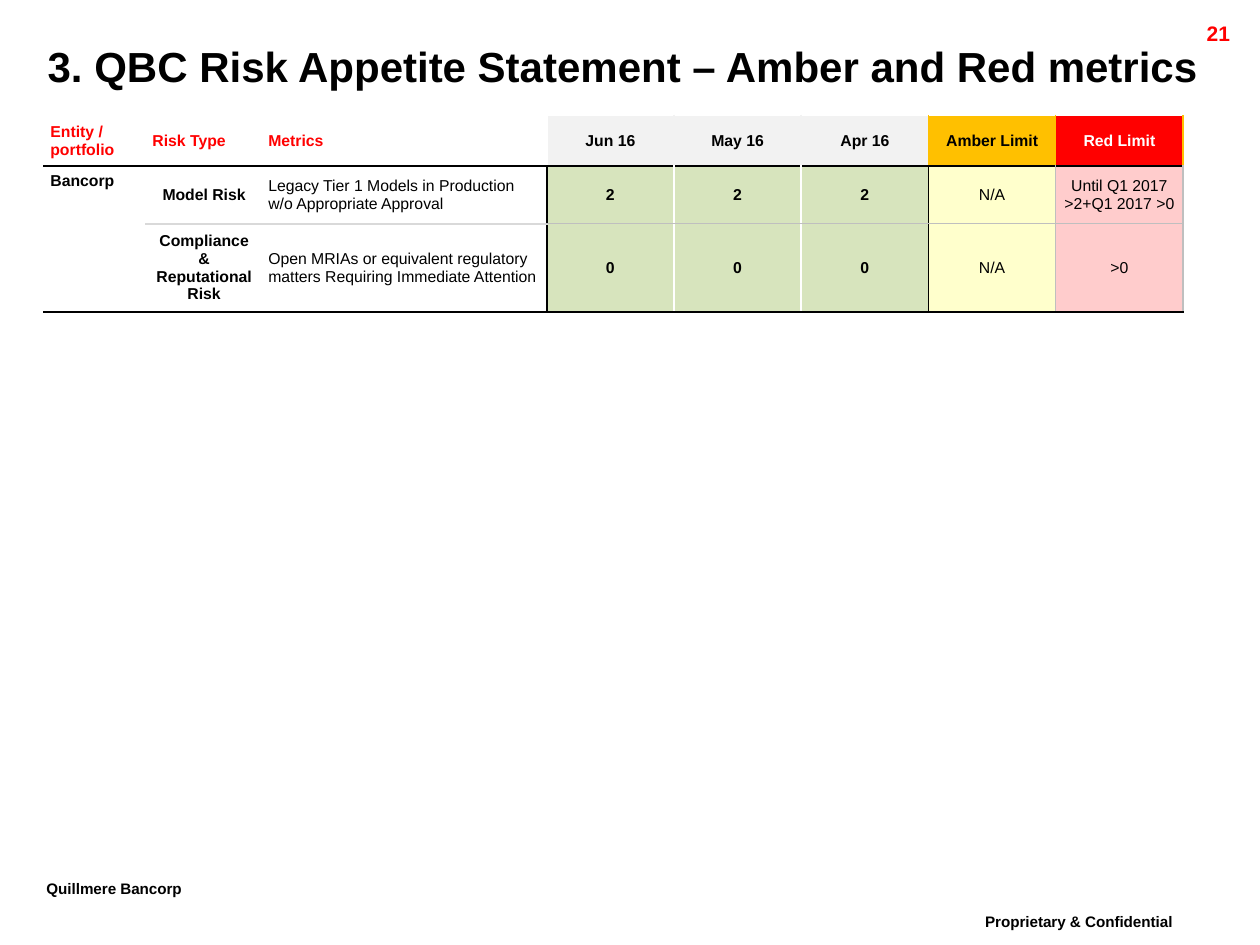
from dataclasses import dataclass

from lxml.etree import SubElement
from pptx import Presentation
from pptx.dml.color import RGBColor
from pptx.enum.text import MSO_ANCHOR as Anchor, PP_ALIGN as Align
from pptx.oxml.ns import qn
from pptx.util import Inches, Pt

SLIDE_WIDTH, SLIDE_HEIGHT = Inches(10), Inches(7.5)


@dataclass(frozen=True)
class Theme:
    font: str = "Arial"
    black: str = "000000"
    white: str = "FFFFFF"
    red: str = "FF0000"
    amber: str = "FFC000"
    header_grey: str = "F2F2F2"
    rule_light: str = "D9D9D9"
    rule_grey: str = "BFBFBF"
    green: str = "D7E4BD"
    pale_amber: str = "FFFFCC"
    pale_red: str = "FFCCCC"
    title_size: float = 24
    footer_size: float = 15
    number_size: float = 12
    table_size: float = 9


THEME = Theme()


@dataclass(frozen=True)
class Label:
    text: str
    left: float
    top: float
    width: float
    height: float
    size: float
    color: str = THEME.black
    align: Align = Align.LEFT
    raised: bool = False


@dataclass(frozen=True)
class Column:
    width: float
    title: str
    title_color: str
    values: tuple[str, str]
    header_fill: str | None = None
    body_fill: str | None = None
    header_edge: str = THEME.white
    body_edge: str = THEME.white
    row_rule: str = THEME.rule_grey
    title_align: Align = Align.CENTER
    body_align: Align = Align.CENTER
    bold: bool = True
    anchor: Anchor = Anchor.MIDDLE


def month(title: str, edge: str = THEME.header_grey, body_edge: str = THEME.white) -> Column:
    return Column(1.01, title, THEME.black, ("2", "0"), THEME.header_grey, THEME.green, edge, body_edge)


LABELS = (
    Label("Proprietary & Confidential", 0.772, 0.956, 0.218, 0.047, THEME.footer_size, raised=True),
    Label("Quillmere Bancorp", 0.027, 0.921, 0.149, 0.047, THEME.footer_size, raised=True),
    Label("3. QBC Risk Appetite Statement – Amber and Red metrics", 0.028, 0.036, 0.972, 0.067, THEME.title_size),
    Label("21", 0.891, 0.015, 0.095, 0.032, THEME.number_size, THEME.red, Align.RIGHT),
)

COLUMNS = (
    Column(0.81, "Entity / portfolio", THEME.red, ("Bancorp", ""), row_rule=THEME.white,
           title_align=Align.LEFT, body_align=Align.LEFT, anchor=Anchor.TOP),
    Column(0.92, "Risk Type", THEME.red, ("Model Risk", "Compliance & Reputational Risk"),
           row_rule=THEME.rule_light, title_align=Align.LEFT),
    Column(2.26, "Metrics", THEME.red,
           ("Legacy Tier 1 Models in Production w/o Appropriate Approval",
            "Open MRIAs or equivalent regulatory matters Requiring Immediate Attention"),
           body_edge=THEME.black, row_rule=THEME.rule_light,
           title_align=Align.LEFT, body_align=Align.LEFT, bold=False),
    month("Jun 16"),
    month("May 16"),
    month("Apr 16", THEME.amber, THEME.black),
    Column(1.01, "Amber Limit", THEME.black, ("N/A", "N/A"), THEME.amber, THEME.pale_amber,
           THEME.amber, THEME.rule_grey, bold=False),
    Column(1.01, "Red Limit", THEME.white, ("Until Q1 2017 >2+Q1 2017 >0", ">0"), THEME.red,
           THEME.pale_red, THEME.amber, THEME.rule_grey, bold=False),
)
ROW_HEIGHTS = (0.37, 0.4, 0.46, 0.7)


def add_text(paragraph, text: str, size: float, color: str, bold: bool, align: Align):
    paragraph.alignment = align
    run = paragraph.add_run()
    run.text = text
    run.font.name = THEME.font
    run.font.size = Pt(size)
    run.font.bold = bold
    run.font.color.rgb = RGBColor.from_string(color)
    return run


def draw_label(slide, label: Label) -> None:
    shape = slide.shapes.add_textbox(
        int(label.left * SLIDE_WIDTH), int(label.top * SLIDE_HEIGHT),
        int(label.width * SLIDE_WIDTH), int(label.height * SLIDE_HEIGHT))
    shape.text_frame.word_wrap = True
    run = add_text(shape.text_frame.paragraphs[0], label.text, label.size, label.color, True, label.align)
    if label.raised:
        run.font._element.set("baseline", "30000")


def style_cell(cell, fill: str | None, left: str, right: str, top: str, bottom: str) -> None:
    properties = cell._tc.get_or_add_tcPr()
    for tag, color in (("a:lnL", left), ("a:lnR", right), ("a:lnT", top), ("a:lnB", bottom)):
        width = Pt(0.75) if color == THEME.rule_grey else Pt(1)
        line = SubElement(properties, qn(tag), w=str(width))
        SubElement(SubElement(line, qn("a:solidFill")), qn("a:srgbClr"), val=color)
    if fill:
        cell.fill.solid()
        cell.fill.fore_color.rgb = RGBColor.from_string(fill)
    else:
        cell.fill.background()
    cell.margin_left = cell.margin_right = cell.margin_top = cell.margin_bottom = Inches(0.05)


def draw_column(table, index: int, column: Column) -> None:
    table.columns[index].width = Inches(column.width)
    previous = COLUMNS[index - 1] if index else None
    header_left = previous.header_edge if previous else THEME.white
    body_left = previous.body_edge if previous else THEME.white
    rules = (THEME.white, THEME.black, column.row_rule, THEME.black)
    for row, text in enumerate((column.title, *column.values), start=1):
        cell = table.cell(row, index)
        header = row == 1
        fill = column.header_fill if header else column.body_fill
        left = header_left if header else body_left
        right = column.header_edge if header else column.body_edge
        style_cell(cell, fill, left, right, rules[row - 1], rules[row])
        cell.vertical_anchor = Anchor.MIDDLE if header else column.anchor
        if text:
            add_text(cell.text_frame.paragraphs[0], text, THEME.table_size,
                     column.title_color if header else THEME.black,
                     header or column.bold,
                     column.title_align if header else column.body_align)


def draw_table(slide) -> None:
    width = sum(column.width for column in COLUMNS)
    table = slide.shapes.add_table(
        len(ROW_HEIGHTS), len(COLUMNS), int(0.035 * SLIDE_WIDTH), int(0.073 * SLIDE_HEIGHT),
        Inches(width), Inches(sum(ROW_HEIGHTS))).table
    table.first_row = table.horz_banding = False
    for row, height in zip(table.rows, ROW_HEIGHTS):
        row.height = Inches(height)
    for index, column in enumerate(COLUMNS):
        spacer = table.cell(0, index)
        style_cell(spacer, None, *[THEME.white] * 4)
        spacer.margin_top = spacer.margin_bottom = 0
        draw_column(table, index, column)
    table.cell(0, 0).merge(table.cell(0, len(COLUMNS) - 1))


def main() -> None:
    presentation = Presentation()
    presentation.slide_width, presentation.slide_height = SLIDE_WIDTH, SLIDE_HEIGHT
    slide = presentation.slides.add_slide(presentation.slide_layouts[6])
    draw_table(slide)
    for label in LABELS:
        draw_label(slide, label)
    presentation.save("out.pptx")


if __name__ == "__main__":
    main()
